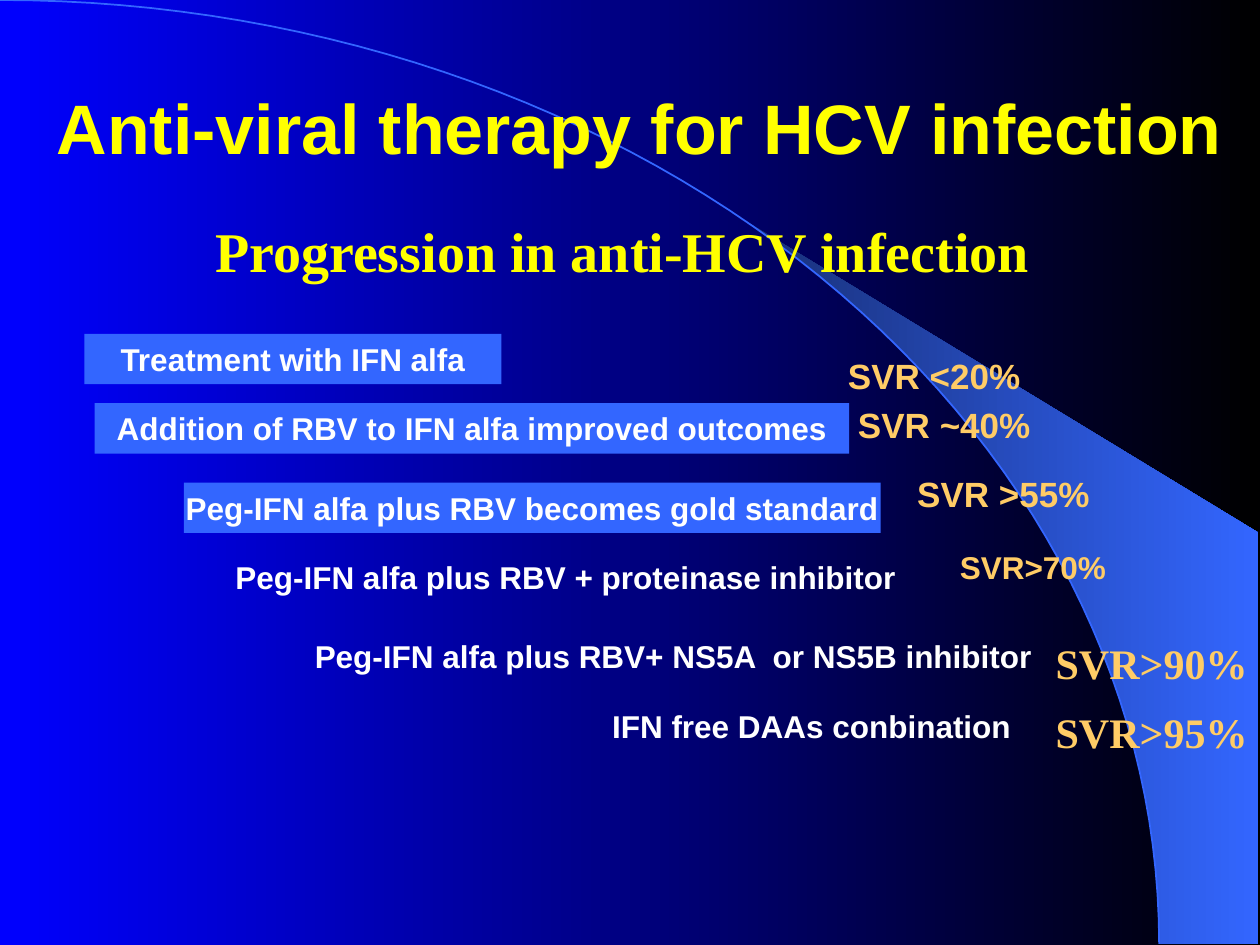
from dataclasses import dataclass
from math import asin, cos, pi, sin

from pptx import Presentation
from pptx.dml.color import RGBColor
from pptx.enum.shapes import MSO_SHAPE
from pptx.enum.text import MSO_ANCHOR, MSO_AUTO_SIZE, PP_ALIGN
from pptx.util import Inches, Pt

RECTANGLE = MSO_SHAPE.RECTANGLE
TOP = MSO_ANCHOR.TOP
FIT_SHAPE, NO_FIT = MSO_AUTO_SIZE.SHAPE_TO_FIT_TEXT, MSO_AUTO_SIZE.NONE
LEFT, CENTER = PP_ALIGN.LEFT, PP_ALIGN.CENTER
TITLE_ONLY = 5

COLUMNS, ROWS = 100, 75
UNIT = Inches(0.1)
INSET = (1, 0.5)
NO_INSET = (0, 0)
ARC_WIDTH, ARC_HEIGHT = 92, 74.9
ARC_STEPS = 60


@dataclass(frozen=True)
class Theme:
    sans: str = "Arial"
    serif: str = "Times New Roman"
    blue: str = "0000FF"
    black: str = "000000"
    navy: str = "182F76"
    accent: str = "3366FF"
    yellow: str = "FFFF00"
    gold: str = "FFCC66"
    white: str = "FFFFFF"
    title: int = 40
    subtitle: int = 32
    late_rate: int = 24
    rate: int = 20
    body: int = 18


THEME = Theme()

BANNERS = [
    ("Treatment with IFN alfa", (6.7, 26.5, 33.1, 4), INSET),
    ("Addition of RBV to IFN alfa improved outcomes", (7.5, 32, 59.9, 4), INSET),
    ("Peg-IFN alfa plus RBV becomes gold standard", (14.6, 38.3, 55.3, 4), (0, 0.5)),
]
THERAPIES = [
    ("Peg-IFN alfa plus RBV + proteinase inhibitor", (17.7, 43.8, 60.6, 4)),
    ("Peg-IFN alfa plus RBV+ NS5A  or NS5B inhibitor", (24, 50.1, 60.6, 4)),
    ("IFN free DAAs conbination", (47.6, 55.6, 34.7, 7)),
]
EARLY_RATES = [
    ("SVR <20%", (67.3, 28.1, 13.7, 3.3)),
    ("SVR ~40%", (68.1, 32, 13.7, 3.3)),
    ("SVR >55%", (72.8, 37.5, 13.7, 3.3)),
]
LATE_RATES = [
    ("SVR>90%", (82.8, 50.1, 17.2, 5)),
    ("SVR>95%", (82.8, 55.6, 17.2, 5)),
]


def grid(*lengths):
    return [round(length * UNIT) for length in lengths]


def paint_gradient(fill, *colours):
    fill.gradient()
    fill.gradient_angle = 0
    for stop, colour in zip(fill.gradient_stops, colours):
        stop.color.rgb = RGBColor.from_string(colour)


def arc_points(start):
    angles = [start + (pi / 2 - start) * i / ARC_STEPS for i in range(ARC_STEPS + 1)]
    return [grid(ARC_WIDTH * sin(a), ARC_HEIGHT * (1 - cos(a))) for a in angles]


def add_outline(slide, points, close):
    builder = slide.shapes.build_freeform(*points[0])
    builder.add_line_segments(points[1:], close=close)
    outline = builder.convert_to_shape()
    outline.shadow.inherit = False
    slide.shapes.title.element.addprevious(outline.element)
    return outline


def add_backdrop(slide):
    paint_gradient(slide.background.fill, THEME.blue, THEME.black)
    corners = [grid(99.9, ARC_HEIGHT), grid(99.9, 42.3)]
    crescent = add_outline(slide, arc_points(asin(58.9 / ARC_WIDTH)) + corners, True)
    paint_gradient(crescent.fill, THEME.navy, THEME.accent)
    crescent.line.fill.background()
    horizon = add_outline(slide, arc_points(0), False)
    horizon.fill.background()
    horizon.line.color.rgb = RGBColor.from_string(THEME.accent)
    horizon.line.width = Pt(1)


def write(frame, wording, size, colour, font=THEME.sans, align=LEFT,
          inset=INSET, wrap=True, fit=FIT_SHAPE):
    frame.word_wrap = wrap
    frame.auto_size = fit
    frame.vertical_anchor = TOP
    side, edge = grid(*inset)
    frame.margin_left = frame.margin_right = side
    frame.margin_top = frame.margin_bottom = edge
    paragraph = frame.paragraphs[0]
    paragraph.alignment = align
    run = paragraph.add_run()
    run.text = wording
    run.font.name = font
    run.font.size = Pt(size)
    run.font.bold = True
    run.font.color.rgb = RGBColor.from_string(colour)


def add_title(slide, wording, place):
    title = slide.shapes.title
    title.left, title.top, title.width, title.height = grid(*place)
    write(title.text_frame, wording, THEME.title, THEME.yellow, inset=(1, 0), fit=NO_FIT)


def add_label(slide, wording, place, size, colour, **style):
    label = slide.shapes.add_textbox(*grid(*place))
    write(label.text_frame, wording, size, colour, **style)


def add_banner(slide, wording, place, inset):
    banner = slide.shapes.add_shape(RECTANGLE, *grid(*place))
    banner.shadow.inherit = False
    banner.fill.solid()
    banner.fill.fore_color.rgb = RGBColor.from_string(THEME.accent)
    banner.line.fill.background()
    write(banner.text_frame, wording, THEME.body, THEME.white, align=CENTER, inset=inset)


def main():
    deck = Presentation()
    deck.slide_width, deck.slide_height = grid(COLUMNS, ROWS)
    slide = deck.slides.add_slide(deck.slide_layouts[TITLE_ONLY])
    add_backdrop(slide)
    add_title(slide, "Anti-viral therapy for HCV infection", (3.5, 6.7, 96.5, 12.5))
    add_label(slide, "Progression in anti-HCV infection", (16.1, 16.7, 66.9, 6.4),
              THEME.subtitle, THEME.yellow, font=THEME.serif, wrap=False)
    for wording, place, inset in BANNERS:
        add_banner(slide, wording, place, inset)
    for wording, place in THERAPIES:
        add_label(slide, wording, place, THEME.body, THEME.white)
    for wording, place in EARLY_RATES:
        add_label(slide, wording, place, THEME.rate, THEME.gold, inset=NO_INSET, wrap=False)
    add_label(slide, "SVR>70%", (75.2, 43, 15.7, 4), THEME.body, THEME.gold)
    for wording, place in LATE_RATES:
        add_label(slide, wording, place, THEME.late_rate, THEME.gold,
                  font=THEME.serif, wrap=False)
    deck.save("out.pptx")


if __name__ == "__main__":
    main()
